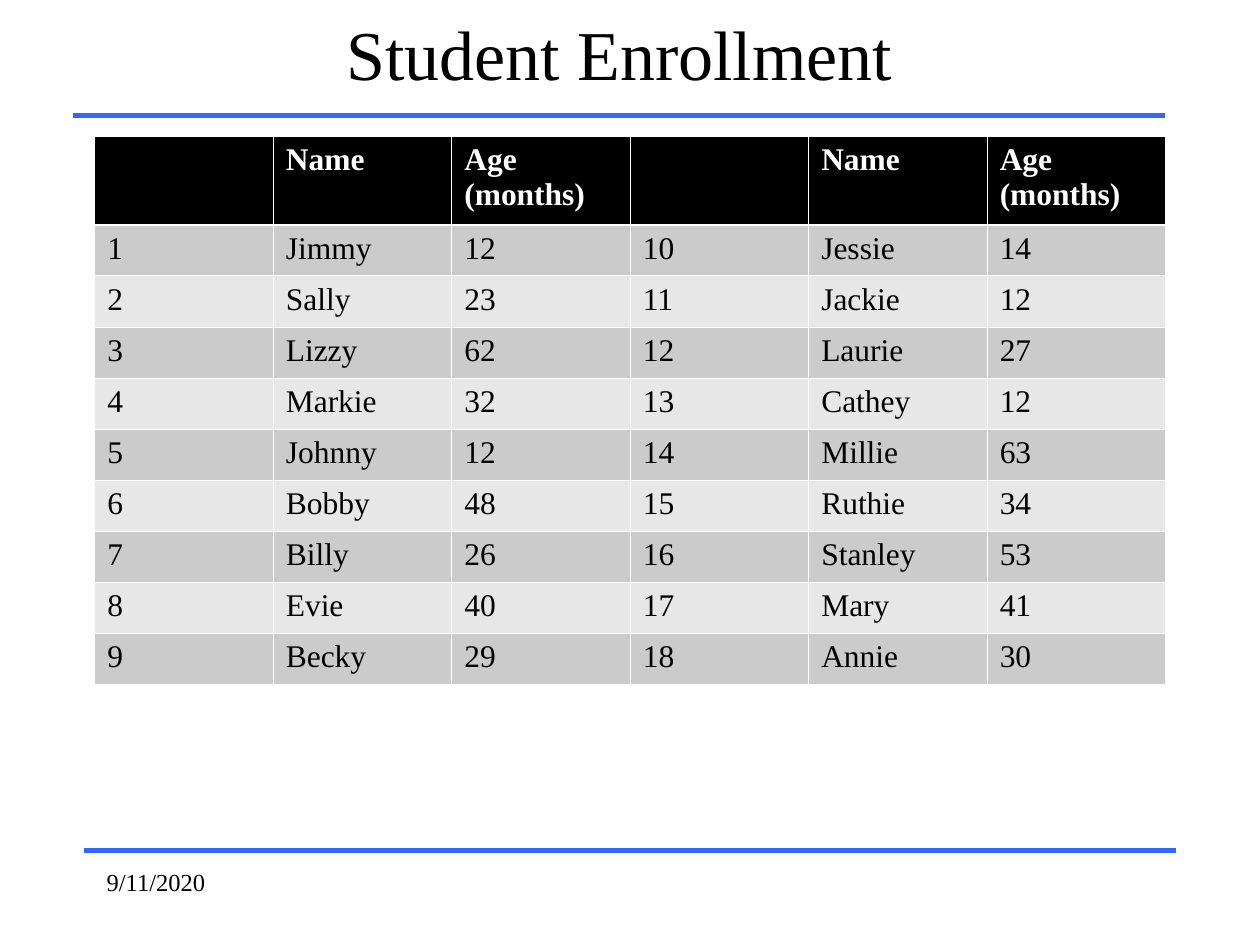
from lxml.etree import SubElement
from pptx import Presentation
from pptx.dml.color import RGBColor
from pptx.enum.shapes import MSO_CONNECTOR
from pptx.enum.text import MSO_ANCHOR, PP_ALIGN
from pptx.oxml.ns import qn
from pptx.util import Cm, Pt

BLACK = RGBColor(0x00, 0x00, 0x00)
WHITE = RGBColor(0xFF, 0xFF, 0xFF)
BLUE = RGBColor(0x33, 0x66, 0xFF)
DARK = RGBColor(0xCB, 0xCB, 0xCB)
LIGHT = RGBColor(0xE7, 0xE7, 0xE7)
FONT = "Times New Roman"

HEADS = ["", "Name", "Age (months)"]
PUPILS = [
    ("Jimmy", 12), ("Sally", 23), ("Lizzy", 62),
    ("Markie", 32), ("Johnny", 12), ("Bobby", 48),
    ("Billy", 26), ("Evie", 40), ("Becky", 29),
    ("Jessie", 14), ("Jackie", 12), ("Laurie", 27),
    ("Cathey", 12), ("Millie", 63), ("Ruthie", 34),
    ("Stanley", 53), ("Mary", 41), ("Annie", 30),
]


def add_run(para, text, size, color=BLACK, bold=False):
    """Add one styled run to a paragraph."""
    run = para.add_run()
    run.text = text
    font = run.font
    font.name, font.size, font.bold = FONT, Pt(size), bold
    font.color.rgb = color


def add_text(slide, box, text, size, align, anchor):
    """Add a one-line text box."""
    frame = slide.shapes.add_textbox(*map(Cm, box)).text_frame
    frame.word_wrap = True
    frame.vertical_anchor = anchor
    para = frame.paragraphs[0]
    para.alignment = align
    add_run(para, text, size)


def add_rule(slide, left, top, width):
    """Draw a blue horizontal rule."""
    line = slide.shapes.add_connector(
        MSO_CONNECTOR.STRAIGHT, Cm(left), Cm(top), Cm(left + width), Cm(top))
    line.line.color.rgb = BLUE
    line.line.width = Pt(3)
    SubElement(line._element.spPr, qn("a:effectLst"))


def add_edges(cell, top, bottom):
    """Give a cell white borders of the given point widths."""
    props = cell._tc.get_or_add_tcPr()
    for side, width in zip("LRTB", (0.45, 0.45, top, bottom)):
        edge = SubElement(props, qn(f"a:ln{side}"), w=str(Pt(width)))
        fill = SubElement(edge, qn("a:solidFill"))
        SubElement(fill, qn("a:srgbClr"), val=str(WHITE))


def add_roster(slide, left, top, width, height):
    """Lay the numbered pupils out in two halves under a header row."""
    half = len(PUPILS) // 2
    people = [[str(n), name, str(age)]
              for n, (name, age) in enumerate(PUPILS, 1)]
    rows = [HEADS * 2] + [a + b for a, b in zip(people[:half], people[half:])]
    table = slide.shapes.add_table(
        len(rows), len(rows[0]),
        Cm(left), Cm(top), Cm(width), Cm(height)).table
    head = 1.78
    for col in table.columns:
        col.width = Cm(width / len(rows[0]))
    for r, row in enumerate(rows):
        table.rows[r].height = Cm((height - head) / half if r else head)
        shade = (LIGHT, DARK)[r % 2] if r else BLACK
        for c, text in enumerate(row):
            cell = table.cell(r, c)
            add_edges(cell, 1.47 if r == 1 else 0.45, 0.45 if r else 1.47)
            cell.fill.solid()
            cell.fill.fore_color.rgb = shade
            if text:
                add_run(cell.text_frame.paragraphs[0], text, 18,
                        BLACK if r else WHITE, r == 0)


def add_title(slide, left, top, width, height):
    """Place the heading with a rule just below it."""
    add_text(slide, (left, top, width, height), "Student Enrollment", 40,
             PP_ALIGN.CENTER, MSO_ANCHOR.MIDDLE)
    add_rule(slide, left, top + height + 0.21, width)


def add_footer(slide, left, top, width, height):
    """Place a rule with the date below it."""
    add_rule(slide, left, top, width)
    add_text(slide, (left + 0.21, top + 0.21, 5.29, height - 0.21),
             "9/11/2020", 14, PP_ALIGN.LEFT, MSO_ANCHOR.TOP)


def main():
    """Build the slide and save it."""
    deck = Presentation()
    deck.slide_width, deck.slide_height = Cm(25.4), Cm(19.05)
    slide = deck.slides.add_slide(deck.slide_layouts[6])
    add_title(slide, 1.48, 0, 22.01, 2.12)
    add_roster(slide, 1.91, 2.75, 21.59, 11.05)
    add_footer(slide, 1.69, 17.15, 22.01, 1.48)
    deck.save("out.pptx")


if __name__ == "__main__":
    main()
